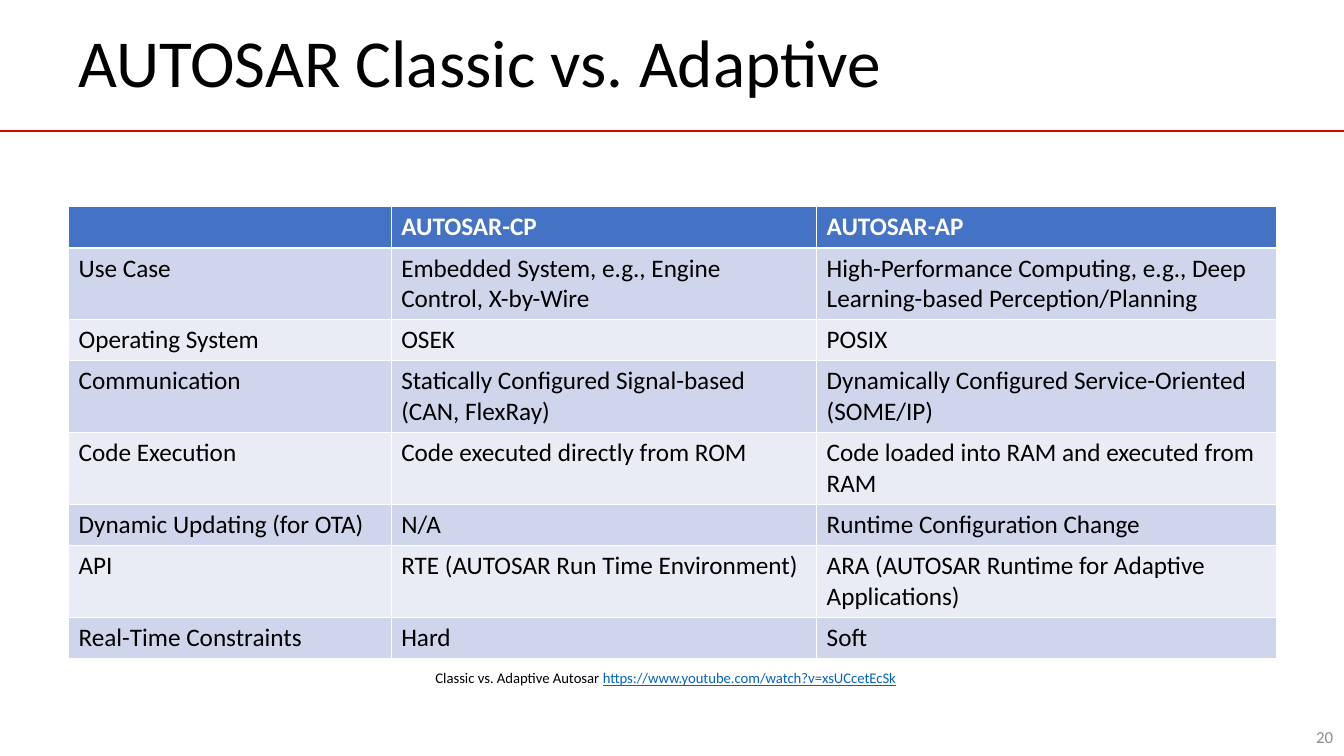
from pptx import Presentation
from pptx.dml.color import RGBColor
from pptx.enum import shapes, text
from pptx.oxml import ns
from pptx.util import Inches, Pt
from lxml import etree

FONT = "Calibri"
BLACK = RGBColor(0x00, 0x00, 0x00)
WHITE = RGBColor(0xFF, 0xFF, 0xFF)
RED = RGBColor(0xD4, 0x08, 0x05)
GREY = RGBColor(0x8C, 0x8C, 0x8C)
LINK = RGBColor(0x05, 0x63, 0xC1)
HEADER = RGBColor(0x44, 0x72, 0xC4)
BANDS = (RGBColor(0xCF, 0xD5, 0xEA), RGBColor(0xE9, 0xEB, 0xF5))

SLIDE_W, SLIDE_H = 13.33, 7.5
COLUMN_WIDTHS = (3.2, 4.22, 4.56)
ROW_HEIGHT = 0.41

COMPARISON = [
    ("", "AUTOSAR-CP", "AUTOSAR-AP"),
    ("Use Case", "Embedded System, e.g., Engine Control, X-by-Wire",
     "High-Performance Computing, e.g., Deep Learning-based Perception/Planning"),
    ("Operating System", "OSEK", "POSIX"),
    ("Communication", "Statically Configured Signal-based (CAN, FlexRay)",
     "Dynamically Configured Service-Oriented (SOME/IP)"),
    ("Code Execution", "Code executed directly from ROM",
     "Code loaded into RAM and executed from RAM"),
    ("Dynamic Updating (for OTA)", "N/A", "Runtime Configuration Change"),
    ("API", "RTE (AUTOSAR Run Time Environment)",
     "ARA (AUTOSAR Runtime for Adaptive Applications)"),
    ("Real-Time Constraints", "Hard", "Soft"),
]


def style(font, size, color, bold=False):
    font.name, font.size, font.bold = FONT, Pt(size), bold
    font.color.rgb = color


def add_header(s, left, top, width, height, title):
    # Rule across the slide
    rule = s.shapes.add_connector(shapes.MSO_CONNECTOR.STRAIGHT, 0, Inches(1.3),
                                  Inches(SLIDE_W), Inches(1.3))
    rule.line.color.rgb = RED
    rule.line.width = Pt(1)
    etree.SubElement(rule._element.spPr, ns.qn("a:effectLst"))

    # Title
    sp = s.shapes.title
    sp.left, sp.top, sp.width, sp.height = map(Inches, (left, top, width, height))
    tf = sp.text_frame
    tf.text = title
    tf.vertical_anchor = text.MSO_ANCHOR.MIDDLE
    p = tf.paragraphs[0]
    p.alignment = text.PP_ALIGN.LEFT
    p.line_spacing = 0.9
    style(p.runs[0].font, 48, BLACK)


def add_comparison(s, left, top, rows):
    frame = s.shapes.add_table(len(rows), len(COLUMN_WIDTHS), Inches(left), Inches(top),
                               Inches(sum(COLUMN_WIDTHS)), Inches(ROW_HEIGHT * len(rows)))
    table = frame.table
    for column, width in zip(table.columns, COLUMN_WIDTHS):
        column.width = Inches(width)
    for i, row in enumerate(rows):
        table.rows[i].height = Inches(ROW_HEIGHT)
        is_header = i == 0
        for j, label in enumerate(row):
            cell = table.cell(i, j)
            cell.fill.solid()
            cell.fill.fore_color.rgb = HEADER if is_header else BANDS[(i - 1) % 2]
            cell.text = label
            style(cell.text_frame.paragraphs[0].font, 18,
                  WHITE if is_header else BLACK, is_header)


def add_text(s, left, top, width, height):
    sp = s.shapes.add_textbox(*map(Inches, (left, top, width, height)))
    tf = sp.text_frame
    tf.word_wrap = True
    return tf


def add_source(s, left, top, width, height, label, address):
    p = add_text(s, left, top, width, height).paragraphs[0]
    for words, color in ((label, BLACK), (address, LINK)):
        r = p.add_run()
        r.text = words
        style(r.font, 10.5, color)
        r.font.underline = color == LINK


def add_page_number(s, left, top, width, height, number):
    tf = add_text(s, left, top, width, height)
    tf.vertical_anchor = text.MSO_ANCHOR.MIDDLE
    tf.text = str(number)
    p = tf.paragraphs[0]
    p.alignment = text.PP_ALIGN.RIGHT
    style(p.runs[0].font, 12, GREY)


def main():
    prs = Presentation()
    prs.slide_width, prs.slide_height = Inches(SLIDE_W), Inches(SLIDE_H)
    s = prs.slides.add_slide(prs.slide_layouts[5])
    add_header(s, 0.68, 0.07, 11.97, 1.17, "AUTOSAR Classic vs. Adaptive")
    add_comparison(s, 0.68, 2.05, COMPARISON)
    add_page_number(s, 10.32, 7.11, 3, 0.4, 20)
    add_source(s, 4.22, 6.59, 4.88, 0.28, "Classic vs. Adaptive Autosar ",
               "https://www.youtube.com/watch?v=xsUCcetEcSk")
    prs.save("out.pptx")


if __name__ == "__main__":
    main()
